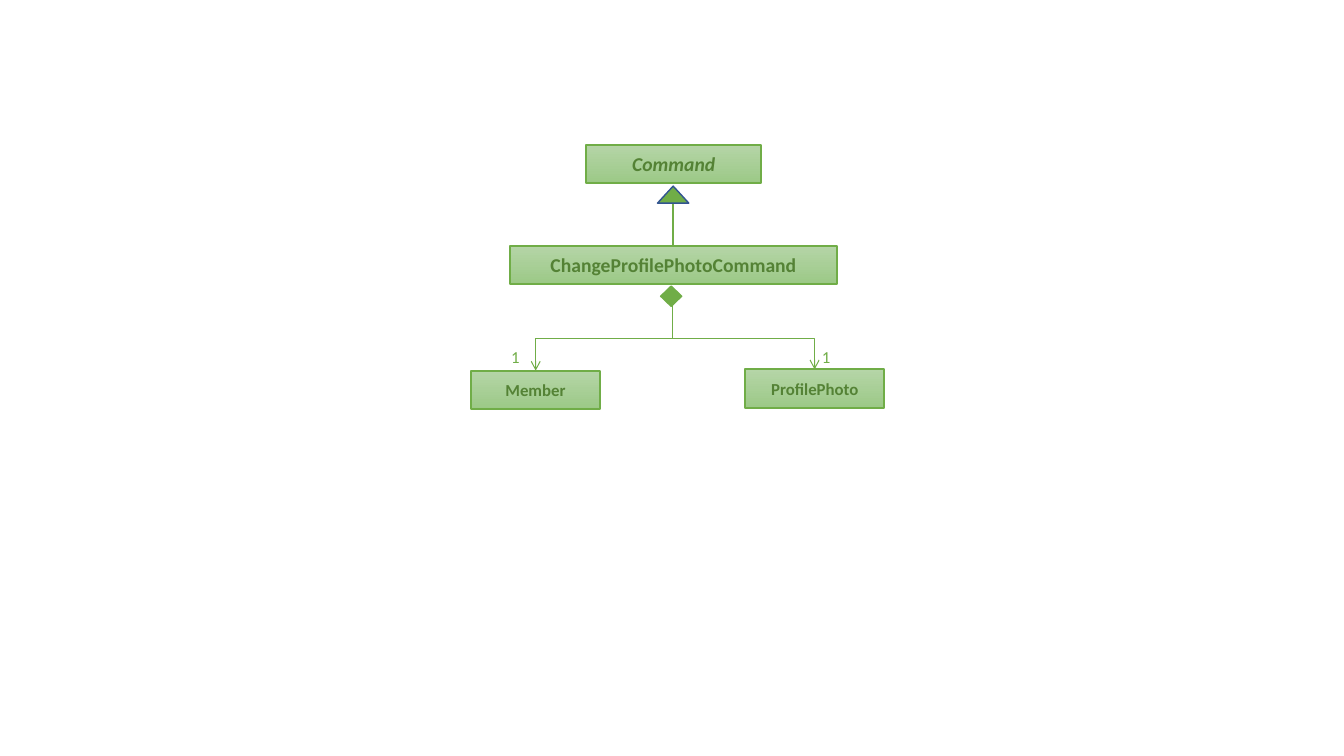
from dataclasses import dataclass

from pptx import Presentation
from pptx.dml.color import RGBColor
from pptx.enum.shapes import MSO_CONNECTOR, MSO_SHAPE
from pptx.enum.text import MSO_ANCHOR, MSO_AUTO_SIZE, PP_ALIGN
from pptx.oxml.ns import qn
from pptx.util import Cm, Pt
from lxml import etree


@dataclass(frozen=True)
class Theme:
    """Colours, type sizes and line widths of the diagram."""
    font: str = "Calibri"
    green: str = "70AD47"
    dark_green: str = "548235"
    blue: str = "325491"
    fill_top: str = "B5D5A7"
    fill_bottom: str = "9CC987"
    large: int = 14
    small: int = 12
    thick: float = 1.5
    medium: float = 1
    thin: float = 0.75


THEME = Theme()


def rgb(code):
    """Turn a hex code into a colour."""
    return RGBColor.from_string(code)


def set_line(item, color, width):
    """Give a shape or connector a solid line."""
    item.line.color.rgb = rgb(color)
    item.line.width = Pt(width)


def write(shape, text, size, color, bold=None, italic=None):
    """Put one formatted run into a shape and return its paragraph."""
    paragraph = shape.text_frame.paragraphs[0]
    run = paragraph.add_run()
    run.text = text
    font = run.font
    font.name, font.size, font.color.rgb = THEME.font, Pt(size), rgb(color)
    font.bold, font.italic = bold, italic
    return paragraph


def class_box(slide, box, name, size, italic=None):
    """Draw a class as a gradient rectangle with its name."""
    shape = slide.shapes.add_shape(MSO_SHAPE.RECTANGLE, *box)
    shape.shadow.inherit = False
    shape.fill.gradient()
    shape.fill.gradient_angle = 270
    for stop, color in zip(shape.fill.gradient_stops, (THEME.fill_top, THEME.fill_bottom)):
        stop.color.rgb = rgb(color)
    set_line(shape, THEME.green, THEME.thick)
    shape.text_frame.word_wrap = True
    shape.text_frame.vertical_anchor = MSO_ANCHOR.MIDDLE
    write(shape, name, size, THEME.dark_green, True, italic).alignment = PP_ALIGN.CENTER


def marker(slide, kind, box, line_color):
    """Draw the solid head of a class relation."""
    shape = slide.shapes.add_shape(kind, *box)
    shape.shadow.inherit = False
    shape.fill.solid()
    shape.fill.fore_color.rgb = rgb(THEME.green)
    set_line(shape, line_color, THEME.medium)


def relation(slide, kind, start, end, width, arrow=False):
    """Draw a connector between two points."""
    line = slide.shapes.add_connector(kind, *start, *end)
    set_line(line, THEME.green, width)
    if arrow:
        etree.SubElement(line.line._get_or_add_ln(), qn("a:tailEnd"), type="arrow")
    etree.SubElement(line._element.spPr, qn("a:effectLst"))
    return line


def vertical_elbow(slide, start, end):
    """Draw an arrow that goes down, left and down again."""
    (x1, y1), (x2, y2) = start, end
    width, height = y2 - y1, x1 - x2
    left, top = (x1 + x2 - width) // 2, (y1 + y2 - height) // 2
    line = relation(slide, MSO_CONNECTOR.ELBOW, (left, top),
                    (left + width, top + height), THEME.thin, arrow=True)
    line._element.spPr.find(qn("a:xfrm")).set("rot", "5400000")


def corner_elbow(slide, start, end):
    """Draw an arrow that goes right and then down."""
    line = relation(slide, MSO_CONNECTOR.ELBOW, start, end, THEME.thin, arrow=True)
    line._element.spPr.find(qn("a:prstGeom")).set("prst", "bentConnector2")


def multiplicity(slide, box, text):
    """Write the count beside an arrow."""
    label = slide.shapes.add_textbox(*box)
    label.text_frame.word_wrap = True
    label.text_frame.auto_size = MSO_AUTO_SIZE.SHAPE_TO_FIT_TEXT
    write(label, text, THEME.small, THEME.green)


def class_diagram(slide, left, top):
    """Place the command classes and their relations from a top left corner."""
    def point(x, y):
        return left + Cm(x), top + Cm(y)

    def box(x, y, width, height=0.97):
        return *point(x, y), Cm(width), Cm(height)

    class_box(slide, box(0.99, 2.54, 8.23), "ChangeProfilePhotoCommand", THEME.large)
    relation(slide, MSO_CONNECTOR.STRAIGHT, point(5.1, 2.54), point(5.1, 1.47), THEME.thick)
    marker(slide, MSO_SHAPE.ISOSCELES_TRIANGLE, box(4.7, 1.04, 0.79, 0.43), THEME.blue)
    class_box(slide, box(2.9, 0, 4.42), "Command", THEME.large, italic=True)
    class_box(slide, box(0, 5.69, 3.25), "Member", THEME.small)
    class_box(slide, box(6.91, 5.66, 3.51), "ProfilePhoto", THEME.small)

    vertical_elbow(slide, point(5.07, 4.07), point(1.63, 5.69))
    marker(slide, MSO_SHAPE.DIAMOND, box(4.78, 3.56, 0.53, 0.51), THEME.green)
    corner_elbow(slide, point(2.13, 4.89), point(8.66, 5.66))
    for x in (0.76, 8.59):
        multiplicity(slide, box(x, 4.96, 0.76, 0.76), "1")


def main():
    """Build and save the slide."""
    deck = Presentation()
    deck.slide_width, deck.slide_height = Cm(33.87), Cm(19.05)
    slide = deck.slides.add_slide(deck.slide_layouts[6])
    class_diagram(slide, Cm(11.87), Cm(3.65))
    deck.save("out.pptx")


main()
